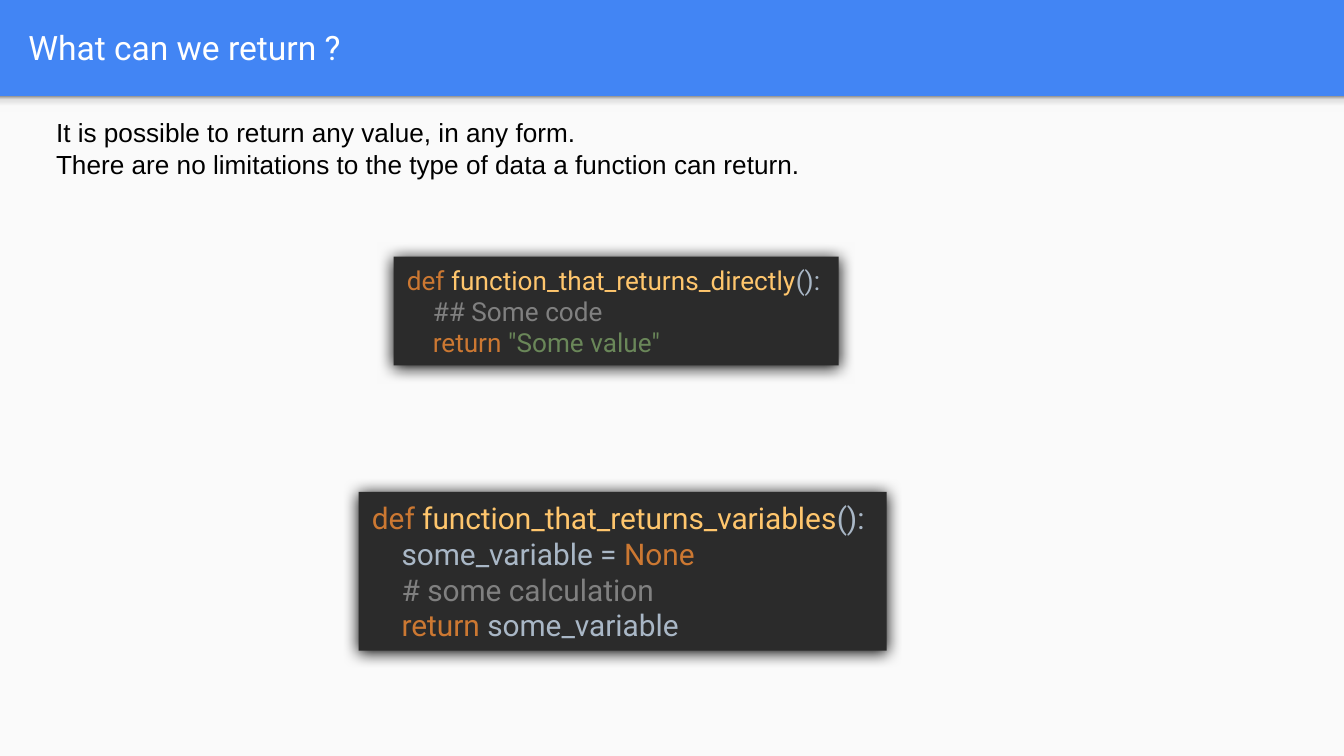
import pptx
import pptx.dml.color
import pptx.enum.shapes
import pptx.enum.text
import pptx.oxml
import pptx.oxml.ns
import pptx.util
from dataclasses import dataclass

Cm = pptx.util.Cm
Pt = pptx.util.Pt
RGB = pptx.dml.color.RGBColor.from_string
RECTANGLE = pptx.enum.shapes.MSO_SHAPE.RECTANGLE
MIDDLE = pptx.enum.text.MSO_ANCHOR.MIDDLE


@dataclass(frozen=True)
class Theme:
    header: str = "4285F4"
    page: str = "FAFAFA"
    title: str = "FFFFFF"
    body: str = "000000"
    editor: str = "2B2B2B"
    shadow: str = "000000"
    keyword: str = "CC7832"
    function: str = "FFC66D"
    plain: str = "A9B7C6"
    comment: str = "808080"
    string: str = "6A8759"
    header_shade: tuple = ((0, "F9F9F9"), (36, "F9F9F9"), (80, "DEDEDE"), (100, "999999"))
    title_font: str = "Roboto"
    code_font: str = "Roboto"
    body_font: str = "Arial"
    title_size: int = 18
    body_size: int = 14


theme = Theme()


def add_rectangle(left, top, width, height, color):
    shape = slide.shapes.add_shape(RECTANGLE, Cm(left), Cm(top), Cm(width), Cm(height))
    shape.shadow.inherit = False
    shape.fill.solid()
    shape.fill.fore_color.rgb = RGB(color)
    shape.line.fill.background()
    return shape


def format_run(run, font, size, color):
    run.font.name = font
    run.font.size = Pt(size)
    run.font.color.rgb = RGB(color)


presentation = pptx.Presentation()
presentation.slide_width = Cm(25.4)
presentation.slide_height = Cm(14.29)
slide = presentation.slides.add_slide(presentation.slide_layouts[5])
slide.background.fill.solid()
slide.background.fill.fore_color.rgb = RGB(theme.header)

# Page area and the shade that the header casts on it
add_rectangle(0, 1.82, 25.4, 12.47, theme.page)
header_shade = add_rectangle(0, 1.82, 25.4, 0.3, theme.page)
stops = "".join(
    f'<a:gs pos="{position * 1000}"><a:srgbClr val="{color}"/></a:gs>'
    for position, color in theme.header_shade
)
gradient = pptx.oxml.parse_xml(
    f'<a:gradFill {pptx.oxml.ns.nsdecls("a")}><a:gsLst>{stops}</a:gsLst>'
    '<a:lin ang="16200000" scaled="0"/></a:gradFill>'
)
properties = header_shade._element.spPr
properties.replace(properties.find(pptx.oxml.ns.qn("a:solidFill")), gradient)

# Title
title = slide.shapes.title
title.left, title.top, title.width, title.height = Cm(0.28), Cm(0.05), Cm(24.5), Cm(1.68)
title.text_frame.text = "What can we return ?"
title.text_frame.vertical_anchor = MIDDLE
title.text_frame.paragraphs[0].alignment = pptx.enum.text.PP_ALIGN.LEFT
format_run(title.text_frame.paragraphs[0].runs[0],
           theme.title_font, theme.title_size, theme.title)

# Code boxes: left, top, width, height, type size, indent, lines of (text, colour)
code_boxes = [
    (7.44, 4.85, 8.41, 2.06, 14, 0.49, [
        [("def ", theme.keyword), ("function_that_returns_directly", theme.function),
         ("():", theme.plain)],
        [("## Some code", theme.comment)],
        [("return ", theme.keyword), ('"Some value"', theme.string)],
    ]),
    (6.78, 9.3, 9.98, 3, 16, 0.56, [
        [("def ", theme.keyword), ("function_that_returns_variables", theme.function),
         ("():", theme.plain)],
        [("some_variable = ", theme.plain), ("None", theme.keyword)],
        [("# some calculation", theme.comment)],
        [("return ", theme.keyword), ("some_variable", theme.plain)],
    ]),
]
for left, top, width, height, size, indent, lines in code_boxes:
    code_box = add_rectangle(left, top, width, height, theme.editor)
    effects = code_box._element.spPr.find(pptx.oxml.ns.qn("a:effectLst"))
    effects.append(pptx.oxml.parse_xml(
        f'<a:outerShdw {pptx.oxml.ns.nsdecls("a")} blurRad="{Pt(8.5)}" dist="{Pt(1)}" '
        f'dir="5400000" algn="ctr" rotWithShape="0"><a:srgbClr val="{theme.shadow}"/></a:outerShdw>'
    ))
    text_frame = code_box.text_frame
    text_frame.word_wrap = False
    text_frame.auto_size = pptx.enum.text.MSO_AUTO_SIZE.SHAPE_TO_FIT_TEXT
    text_frame.vertical_anchor = MIDDLE
    for number, line in enumerate(lines):
        paragraph = text_frame.add_paragraph() if number else text_frame.paragraphs[0]
        paragraph.alignment = pptx.enum.text.PP_ALIGN.LEFT
        if number:
            paragraph._p.get_or_add_pPr().set("marL", str(Cm(indent)))
        for text, color in line:
            run = paragraph.add_run()
            run.text = text
            format_run(run, theme.code_font, size, color)

# Explanation
explanation = slide.shapes.add_textbox(Cm(0.81), Cm(2.08), Cm(22.4), Cm(1.45))
explanation.text_frame.word_wrap = True
explanation.text_frame.text = (
    "It is possible to return any value, in any form.\n"
    "There are no limitations to the type of data a function can return."
)
for paragraph in explanation.text_frame.paragraphs:
    format_run(paragraph.runs[0], theme.body_font, theme.body_size, theme.body)

presentation.save("out.pptx")
